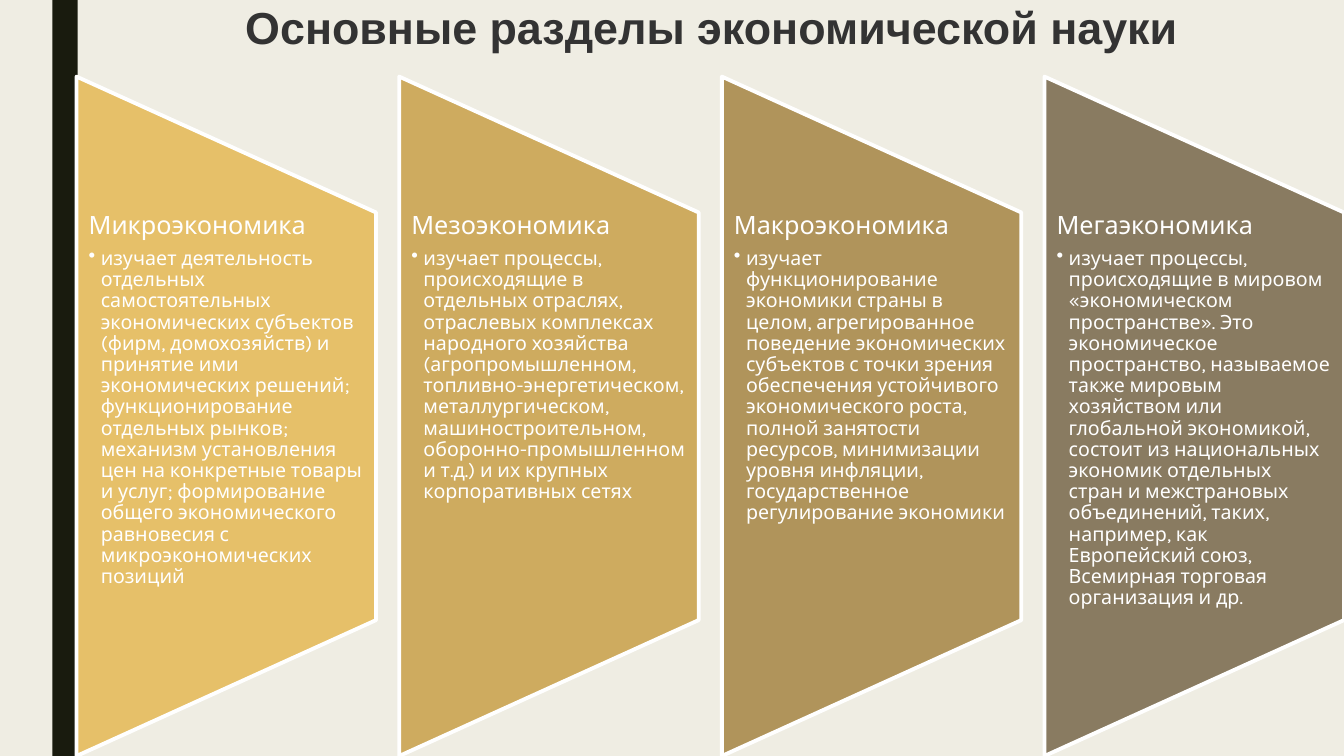
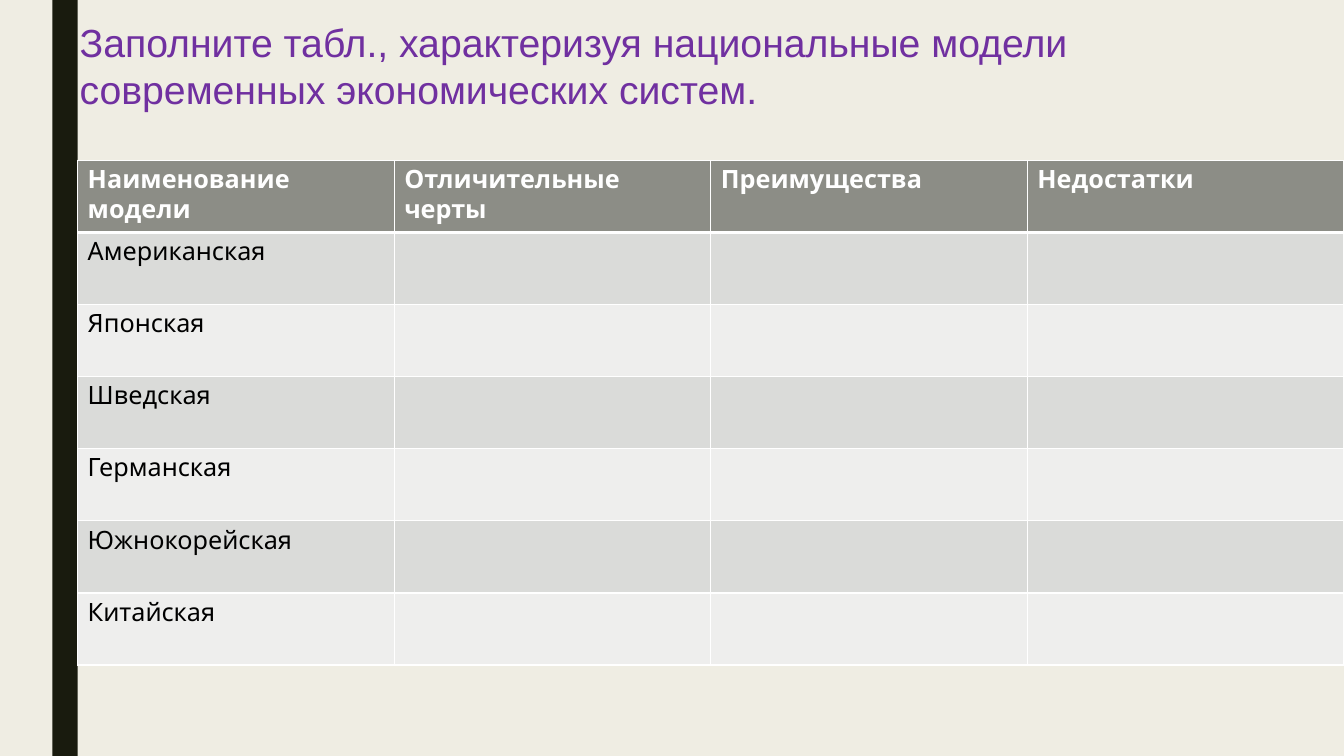
import pptx
import pptx.dml.color
import pptx.enum.shapes
import pptx.enum.text
import pptx.oxml
import pptx.oxml.ns
import pptx.util
from lxml import etree

Inches = pptx.util.Inches
Pt = pptx.util.Pt
PP_ALIGN = pptx.enum.text.PP_ALIGN
ANCHOR = pptx.enum.text.MSO_ANCHOR
SHAPE = pptx.enum.shapes.MSO_SHAPE

COLORS = {
    "paper": "EFEDE3", "band": "191B0E", "title": "333333", "task": "7030A0",
    "white": "FFFFFF", "black": "000000",
    "micro": "E6C069", "meso": "CEAB5F", "macro": "B0945B", "mega": "897B61",
    "header": "8C8D86", "odd": "DADBD9", "even": "EEEEED",
}

BRANCHES = [
    ("micro", "Микроэкономика",
     "изучает деятельность отдельных самостоятельных экономических субъектов "
     "(фирм, домохозяйств) и принятие ими экономических решений; функционирование "
     "отдельных рынков; механизм установления цен на конкретные товары и услуг; "
     "формирование общего экономического равновесия с микроэкономических позиций"),
    ("meso", "Мезоэкономика",
     "изучает процессы, происходящие в отдельных отраслях, отраслевых комплексах "
     "народного хозяйства (агропромышленном, топливно-энергетическом, "
     "металлургическом, машиностроительном, оборонно-промышленном и т.д.) "
     "и их крупных корпоративных сетях"),
    ("macro", "Макроэкономика",
     "изучает функционирование экономики страны в целом, агрегированное поведение "
     "экономических субъектов с точки зрения обеспечения устойчивого экономического "
     "роста, полной занятости ресурсов, минимизации уровня инфляции, "
     "государственное регулирование экономики"),
    ("mega", "Мегаэкономика",
     "изучает процессы, происходящие в мировом «экономическом пространстве». "
     "Это экономическое пространство, называемое также мировым хозяйством или "
     "глобальной экономикой, состоит из национальных экономик отдельных стран и "
     "межстрановых объединений, таких, например, как Европейский союз, "
     "Всемирная торговая организация и др."),
]

HEADINGS = ["Наименование модели", "Отличительные черты", "Преимущества", "Недостатки"]
MODELS = ["Американская", "Японская", "Шведская", "Германская", "Южнокорейская", "Китайская"]


def rgb(name):
    return pptx.dml.color.RGBColor.from_string(COLORS[name])


class Deck:
    title_font = "Arial"
    body_font = "Karla"

    def __init__(self):
        self.prs = pptx.Presentation()
        self.prs.slide_width = Inches(13.33)
        self.prs.slide_height = Inches(7.5)
        self.paint(self.prs.slide_master.background, "paper")
        self.slide = None

    def paint(self, target, color):
        target.fill.solid()
        target.fill.fore_color.rgb = rgb(color)

    def new_slide(self):
        self.slide = self.prs.slides.add_slide(self.prs.slide_layouts[5])
        self.shape(SHAPE.RECTANGLE, 0.52, 0, 0.25, 7.5, "band")

    def shape(self, kind, left, top, width, height, fill, line=None):
        figure = self.slide.shapes.add_shape(
            kind, Inches(left), Inches(top), Inches(width), Inches(height))
        figure.shadow.inherit = False
        self.paint(figure, fill)
        if line:
            figure.line.color.rgb = rgb(line)
            figure.line.width = Pt(2.75)
        else:
            figure.line.fill.background()
        return figure

    def run(self, paragraph, text, size, color, font=body_font, bold=False):
        run = paragraph.add_run()
        run.text = text
        run.font.size = Pt(size)
        run.font.name = font
        run.font.bold = bold
        run.font.color.rgb = rgb(color)

    def title(self, box, lines, size, color, bold=False, align=PP_ALIGN.LEFT,
              anchor=ANCHOR.TOP, spacing=1.0):
        title = self.slide.shapes.title
        title.left, title.top, title.width, title.height = map(Inches, box)
        frame = title.text_frame
        frame.auto_size = pptx.enum.text.MSO_AUTO_SIZE.NONE
        frame.vertical_anchor = anchor
        for index, line in enumerate(lines):
            paragraph = frame.add_paragraph() if index else frame.paragraphs[0]
            paragraph.alignment = align
            paragraph.line_spacing = spacing
            self.run(paragraph, line, size, color, self.title_font, bold)

    def branch(self, left, color, name, description):
        width, length, middle = 2.97, 6.74, 4.13
        panel = self.shape(SHAPE.FLOWCHART_MANUAL_OPERATION,
                           left + (width - length) / 2, middle - width / 2,
                           length, width, color, "white")
        panel.rotation = 270
        height = 4.04
        label = self.slide.shapes.add_textbox(
            Inches(left), Inches(middle - height / 2), Inches(width), Inches(height))
        frame = label.text_frame
        frame.word_wrap = True
        frame.margin_left, frame.margin_right = Inches(0.12), Inches(0.13)
        frame.margin_top = frame.margin_bottom = 0

        heading = frame.paragraphs[0]
        heading.line_spacing = 0.9
        heading.space_after = Pt(6.3)
        self.run(heading, name, 18, "white")

        detail = frame.add_paragraph()
        detail.level = 1
        properties = detail._p.get_or_add_pPr()
        properties.set("marL", str(Inches(0.12)))
        properties.set("indent", str(Inches(-0.12)))
        bullet = etree.SubElement(properties, pptx.oxml.ns.qn("a:buChar"))
        bullet.set("char", "•")
        detail.line_spacing = 0.9
        detail.space_after = Pt(2.1)
        self.run(detail, description, 14, "white")

    def border(self, cell, side, width):
        line = pptx.oxml.parse_xml(
            f'<a:{side} {pptx.oxml.ns.nsdecls("a")} w="{Pt(width)}"><a:solidFill>'
            f'<a:srgbClr val="{COLORS["white"]}"/></a:solidFill></a:{side}>')
        cell._tc.get_or_add_tcPr().append(line)

    def cell(self, cell, text, fill, color, bold, top, bottom):
        for side, width in (("lnL", 1), ("lnR", 1), ("lnT", top), ("lnB", bottom)):
            self.border(cell, side, width)
        self.paint(cell, fill)
        if text:
            self.run(cell.text_frame.paragraphs[0], text, 18, color, bold=bold)
        else:
            cell.text_frame.paragraphs[0].font.size = Pt(18)

    def table(self, box, headings, names):
        rows = [headings] + [[name] + [""] * (len(headings) - 1) for name in names]
        table = self.slide.shapes.add_table(
            len(rows), len(headings), *map(Inches, box)).table
        for row, texts in enumerate(rows):
            is_header = row == 0
            fill = "header" if is_header else ("odd" if row % 2 else "even")
            for column, text in enumerate(texts):
                self.cell(table.cell(row, column), text, fill,
                          "white" if is_header else "black", is_header,
                          3 if row == 1 else 1, 3 if is_header else 1)


def main():
    deck = Deck()

    deck.new_slide()
    deck.title((1.81, 0, 10.5, 0.6), ["Основные разделы экономической науки"], 32, "title",
               bold=True, align=PP_ALIGN.CENTER, anchor=ANCHOR.MIDDLE, spacing=0.89)
    for index, (color, name, description) in enumerate(BRANCHES):
        deck.branch(0.76 + index * 3.2, color, name, description)

    deck.new_slide()
    deck.title((0.69, 0.13, 12.56, 1.04),
               ["Заполните табл., характеризуя национальные модели",
                "современных экономических систем."], 28, "task")
    deck.table((0.77, 1.59, 12.56, 5.01), HEADINGS, MODELS)

    deck.prs.save("out.pptx")


if __name__ == "__main__":
    main()
